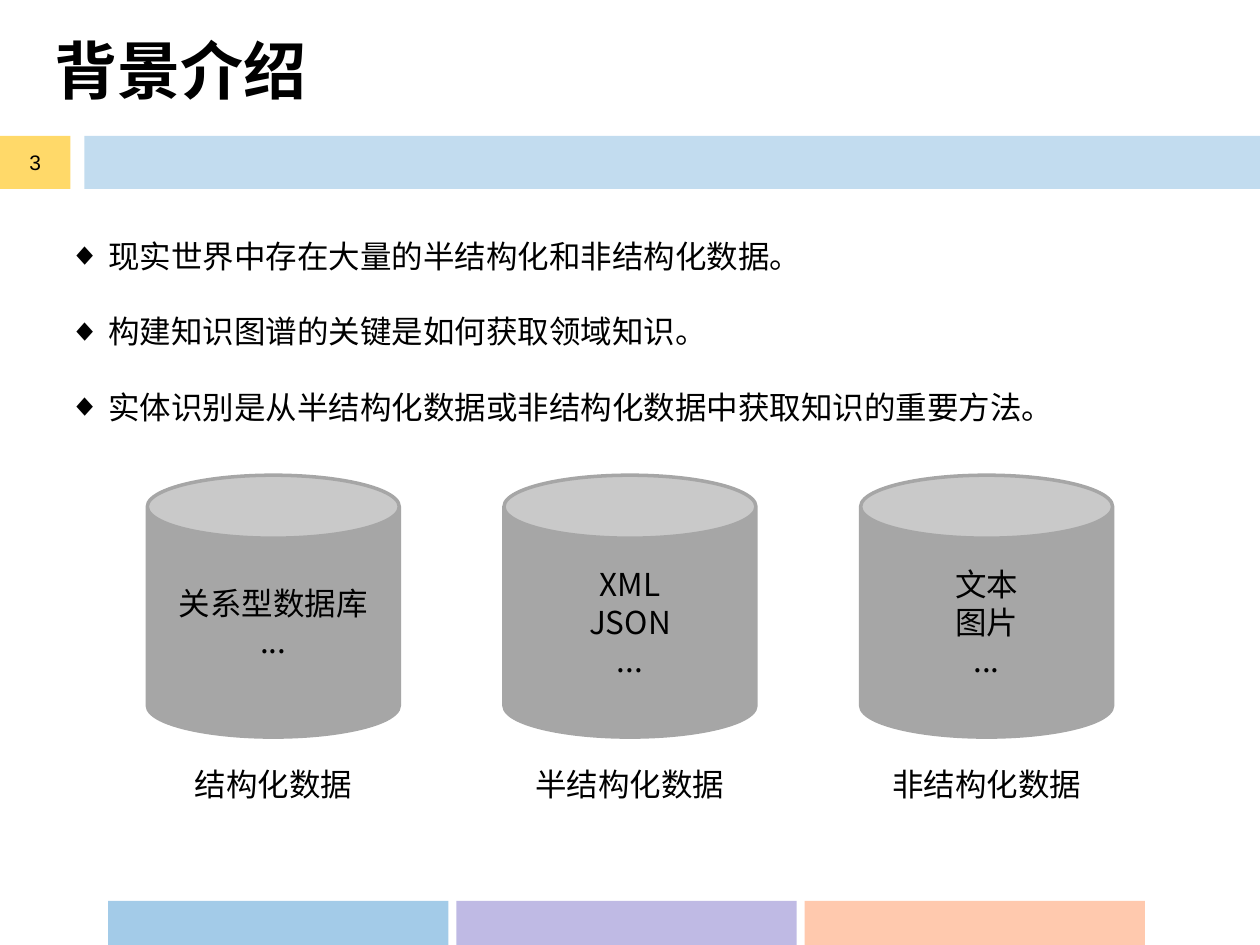
from dataclasses import dataclass
from typing import Optional

from lxml.etree import SubElement
from pptx import Presentation
from pptx.dml.color import RGBColor
from pptx.enum.shapes import MSO_SHAPE as Preset
from pptx.enum.text import MSO_ANCHOR as Anchor, PP_ALIGN as Align
from pptx.oxml.ns import qn
from pptx.util import Cm, Pt


@dataclass(frozen=True)
class Theme:
    text: str = "000000"
    blue: str = "0070C0"
    orange: str = "FF9966"
    purple: str = "BFBAE4"
    yellow: str = "FFC000"
    grey: str = "A6A6A6"
    sans: str = "Arial"
    serif: str = "Times New Roman"
    chinese: str = "Noto Sans CJK SC"
    title_size: float = 36
    body_size: float = 18
    number_size: float = 12
    line_height: float = 21.6


@dataclass(frozen=True)
class Box:
    """Left, top, width and height in centimetres."""
    left: float
    top: float
    width: float
    height: float

    def lengths(self) -> tuple:
        return Cm(self.left), Cm(self.top), Cm(self.width), Cm(self.height)


@dataclass(frozen=True)
class Bar:
    box: Box
    color: str
    opacity: int = 100


@dataclass(frozen=True)
class DataKind:
    label: str
    examples: tuple


THEME = Theme()

FOOTER_LEFT, FOOTER_STEP = 2.18, 7.02
FOOTER_COLORS = ((THEME.blue, 36), (THEME.purple, 100), (THEME.orange, 53))
HEADER = Bar(Box(1.7, 2.74, 23.7, 1.07), THEME.blue, 24)
NUMBER = Bar(Box(0, 2.74, 1.42, 1.07), THEME.yellow, 59)

CYLINDER_LEFT, CYLINDER_STEP = 2.97, 7.19
DATA_KINDS = (
    DataKind("结构化数据", ("关系型数据库", "...")),
    DataKind("半结构化数据", ("XML", "JSON", "...")),
    DataKind("非结构化数据", ("文本", "图片", "...")),
)
POINTS = (
    "现实世界中存在大量的半结构化和非结构化数据。",
    "构建知识图谱的关键是如何获取领域知识。",
    "实体识别是从半结构化数据或非结构化数据中获取知识的重要方法。",
)


def add_bullet(paragraph, indent: float) -> None:
    properties = paragraph._p.get_or_add_pPr()
    properties.set("marL", str(Cm(indent)))
    properties.set("indent", str(-Cm(indent)))
    SubElement(properties, qn("a:buFont"), typeface=THEME.sans)
    SubElement(properties, qn("a:buChar"), char="◆")


def write_text(shape, lines: tuple, *, size: float = THEME.body_size,
               font: str = THEME.chinese, bold: bool = False,
               align: Align = Align.CENTER, anchor: Anchor = Anchor.MIDDLE,
               line_height: Optional[float] = None, gap: float = 0,
               bullet_indent: float = 0) -> None:
    frame = shape.text_frame
    frame.word_wrap = True
    frame.vertical_anchor = anchor
    for index, line in enumerate(lines):
        paragraph = frame.add_paragraph() if index else frame.paragraphs[0]
        paragraph.alignment = align
        if line_height:
            paragraph.line_spacing = Pt(line_height)
        if index and gap:
            paragraph.space_before = Pt(gap)
        if bullet_indent:
            add_bullet(paragraph, bullet_indent)
        run = paragraph.add_run()
        run.text = line
        run.font.size = Pt(size)
        run.font.bold = bold
        run.font.name = font
        run.font.color.rgb = RGBColor.from_string(THEME.text)
        SubElement(run.font._element, qn("a:ea"), typeface=THEME.chinese)


def add_text(slide, box: Box, lines: tuple, **text_format) -> None:
    write_text(slide.shapes.add_textbox(*box.lengths()), lines, **text_format)


def add_filled(slide, preset: Preset, box: Box, color: str):
    shape = slide.shapes.add_shape(preset, *box.lengths())
    shape.shadow.inherit = False
    shape.fill.solid()
    shape.fill.fore_color.rgb = RGBColor.from_string(color)
    shape.line.fill.background()
    return shape


def add_bar(slide, bar: Bar):
    shape = add_filled(slide, Preset.RECTANGLE, bar.box, bar.color)
    if bar.opacity < 100:
        color = shape._element.spPr.find(qn("a:solidFill")).find(qn("a:srgbClr"))
        SubElement(color, qn("a:alpha"), val=str(bar.opacity * 1000))
    return shape


def add_data_kind(slide, left: float, kind: DataKind) -> None:
    """Draw a cylinder with its examples and the label below it."""
    cylinder = add_filled(slide, Preset.CAN, Box(left, 9.58, 5.08, 5.28), THEME.grey)
    cylinder.line.color.rgb = RGBColor.from_string(THEME.grey)
    cylinder.line.width = Pt(2)
    write_text(cylinder, kind.examples, line_height=THEME.line_height)
    add_text(slide, Box(left, 15.29, 5.08, 1.02), (kind.label,),
             anchor=Anchor.TOP, line_height=THEME.line_height)


def main() -> None:
    presentation = Presentation()
    presentation.slide_width, presentation.slide_height = Cm(25.4), Cm(19.05)
    slide = presentation.slides.add_slide(presentation.slide_layouts[6])

    for index, (color, opacity) in enumerate(FOOTER_COLORS):
        box = Box(FOOTER_LEFT + index * FOOTER_STEP, 18.16, 6.86, 0.91)
        add_bar(slide, Bar(box, color, opacity))
    add_bar(slide, HEADER)
    add_text(slide, Box(0.84, -0.2, 23.85, 3.18), ("背景介绍",),
             size=THEME.title_size, font=THEME.serif, bold=True, align=Align.LEFT)
    write_text(add_bar(slide, NUMBER), ("3",), size=THEME.number_size, font=THEME.sans)
    add_text(slide, Box(1.14, 4.65, 23.27, 4.11), POINTS, font=THEME.sans,
             align=Align.LEFT, anchor=Anchor.TOP, line_height=THEME.line_height,
             gap=THEME.line_height, bullet_indent=0.79)

    for index, kind in enumerate(DATA_KINDS):
        add_data_kind(slide, CYLINDER_LEFT + index * CYLINDER_STEP, kind)

    presentation.save("out.pptx")


if __name__ == "__main__":
    main()
